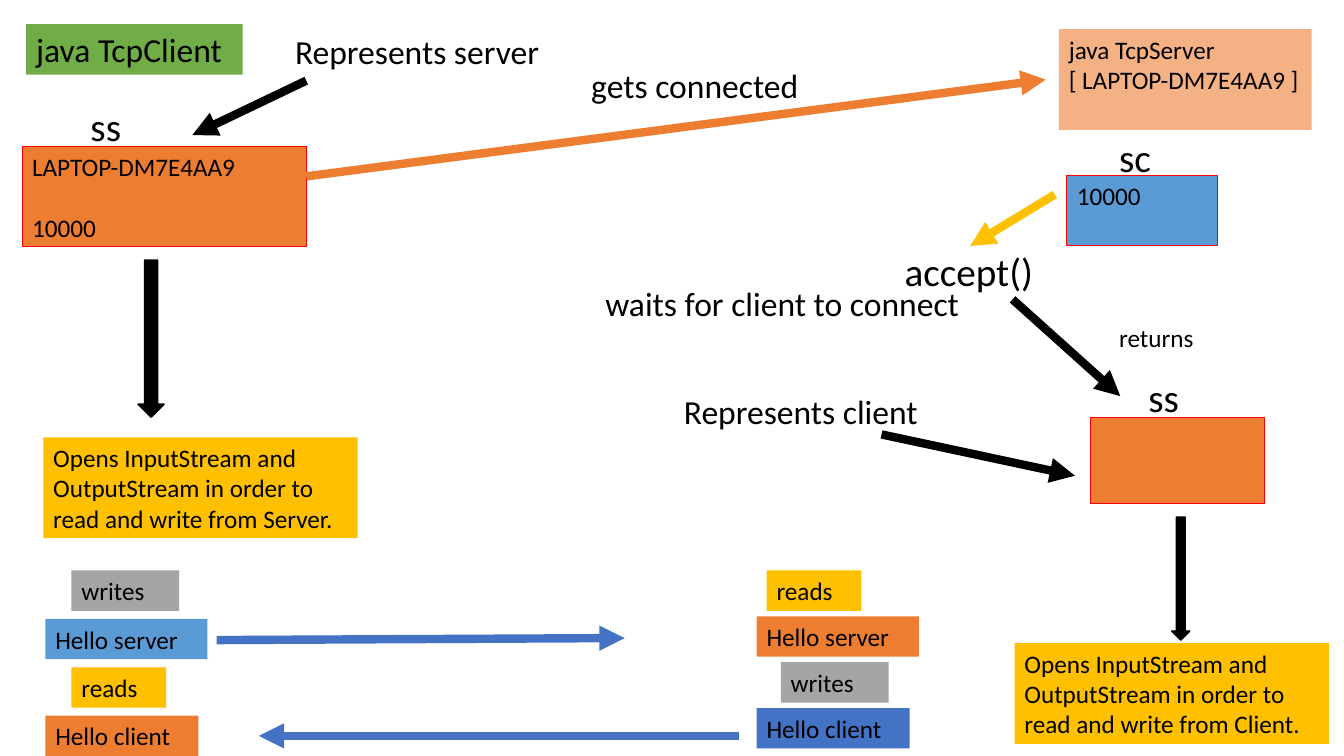
from collections import namedtuple

from lxml.etree import SubElement
from pptx import Presentation
from pptx.dml.color import RGBColor
from pptx.enum.shapes import MSO_CONNECTOR as Connector, MSO_SHAPE as Shape
from pptx.enum.text import MSO_ANCHOR as Anchor, PP_ALIGN as Align
from pptx.oxml.ns import qn
from pptx.util import Inches, Pt

WIDTH, HEIGHT = Inches(13.34), Inches(7.5)
COLUMN, ROW = WIDTH / 133.4, HEIGHT / 75
BLACK, RED, ORANGE, GOLD = "000000", "FF0000", "ED7D31", "FFC000"
SKY, BLUE, GREEN, GRAY, PEACH = "5B9BD5", "4472C4", "70AD47", "A5A5A5", "F4B183"
LABEL_WIDTHS = {"writes": 10.7, "reads": 9.4, "Hello server": 16.1, "Hello client": 15.2}

Region = namedtuple("Region", "page left top")


def color(value):
    """Turn a hex string into a colour."""
    return RGBColor.from_string(value)


def locate(region, column, row):
    """Give the slide position of a grid point in a region."""
    return round((region.left + column) * COLUMN), round((region.top + row) * ROW)


def frame(region, column, row, columns, rows):
    """Give the slide position and size of a box in a region."""
    return *locate(region, column, row), round(columns * COLUMN), round(rows * ROW)


def write(shape, text, size=18, gap=0):
    """Fill a shape with left-aligned lines, with a gap between them."""
    box = shape.text_frame
    box.word_wrap = True
    box.vertical_anchor = Anchor.TOP
    for index, line in enumerate(text.split("\n")):
        para = box.paragraphs[0] if index == 0 else box.add_paragraph()
        para.alignment = Align.LEFT
        if index:
            para.space_before = Pt(gap)
        span = para.add_run()
        span.text = line
        span.font.name = "Calibri"
        span.font.size = Pt(size)
        span.font.color.rgb = color(BLACK)


def add_label(region, place, text, size=24):
    """Add plain text."""
    write(region.page.shapes.add_textbox(*frame(region, *place)), text, size)


def add_box(region, place, fill, text="", line=None, kind=Shape.RECTANGLE, weight=0.75, **style):
    """Add a filled shape, with text if given."""
    shape = region.page.shapes.add_shape(kind, *frame(region, *place))
    shape.shadow.inherit = False
    shape.fill.solid()
    shape.fill.fore_color.rgb = color(fill)
    if line:
        shape.line.color.rgb = color(line)
        shape.line.width = Pt(weight)
    else:
        shape.line.fill.background()
    if text:
        write(shape, text, **style)


def add_down_arrow(region, place):
    """Add a black block arrow that points down."""
    add_box(region, place, BLACK, line=BLACK, kind=Shape.DOWN_ARROW, weight=1)


def add_arrow(region, start, end, stroke=BLACK):
    """Add a thick line with a triangular head at its end."""
    arrow = region.page.shapes.add_connector(
        Connector.STRAIGHT, *locate(region, *start), *locate(region, *end))
    arrow.line.color.rgb = color(stroke)
    arrow.line.width = Pt(6)
    SubElement(arrow.line._get_or_add_ln(), qn("a:tailEnd"), type="triangle")
    SubElement(arrow._element.spPr, qn("a:effectLst"))


def add_streams(region, column, row, peer):
    """Add the note on the streams opened towards a peer."""
    text = f"Opens InputStream and OutputStream in order to read and write from {peer}."
    add_box(region, (column, row, 31.2, 10), GOLD, text)


def draw_client(region):
    """Draw the client program and its socket."""
    add_box(region, (0.6, 0.4, 21.5, 5), GREEN, "java TcpClient", size=24)
    add_label(region, (26.3, 0.6, 27.2, 5), "Represents server")
    add_arrow(region, (28.4, 6), (17.1, 11.4))
    add_label(region, (6, 7.7, 7.7, 5.7), "ss", 28)
    add_box(region, (0.2, 12.5, 28.2, 10), ORANGE, "LAPTOP-DM7E4AA9\n10000", RED, gap=22)
    add_down_arrow(region, (11.7, 23.8, 2.6, 15.6))
    add_streams(region, 2.3, 41.4, "Server")


def draw_connection(region):
    """Draw the link from the client socket to the server."""
    add_arrow(region, (0, 11.6), (73.4, 2), ORANGE)
    add_label(region, (27.3, 0, 25.1, 5), "gets connected")


def draw_server(region):
    """Draw the server program, its accept call and the returned socket."""
    add_box(region, (46.1, 0.9, 25.1, 10), PEACH, "java TcpServer\n[ LAPTOP-DM7E4AA9 ]")
    add_box(region, (46.9, 15.4, 14.9, 7), SKY, "10000", RED)
    add_label(region, (51.1, 10.7, 7.7, 5.7), "sc", 28)
    add_arrow(region, (45.7, 17.3), (37.3, 22.4), GOLD)
    add_label(region, (29.8, 22, 14.9, 5.7), "accept()", 28)
    add_label(region, (0.1, 25.6, 37.8, 5), "waits for client to connect")
    add_arrow(region, (41.5, 27.7), (52.2, 37.3))
    add_label(region, (51.1, 29.5, 10.8, 4), "returns", 18)
    add_box(region, (49.2, 39.4, 17.3, 8.6), ORANGE, line=RED)
    add_label(region, (54, 34.5, 7.7, 5.7), "ss", 28)
    add_label(region, (7.9, 36.3, 29, 5), "Represents client")
    add_arrow(region, (28.5, 41.1), (47.7, 45.2))
    add_down_arrow(region, (57.3, 49.3, 1.8, 12.2))
    add_streams(region, 41.7, 61.8, "Client")


def draw_messages(region, step, messages):
    """Stack the messages of one side, a step apart."""
    for index, (text, fill, column) in enumerate(messages):
        add_box(region, (column, index * step, LABEL_WIDTHS[text], 4), fill, text)


def draw_exchange(region):
    """Draw the arrows of the two messages."""
    add_arrow(region, (17, 6.9), (57.5, 6.7), BLUE)
    add_arrow(region, (68.9, 16.4), (21.2, 16.4), BLUE)


def main():
    """Build the slide and save it."""
    deck = Presentation()
    deck.slide_width, deck.slide_height = WIDTH, HEIGHT
    page = deck.slides.add_slide(deck.slide_layouts[6])
    draw_server(Region(page, 59, 2))
    draw_client(Region(page, 2, 2))
    draw_connection(Region(page, 30.4, 5.9))
    draw_messages(Region(page, 4.5, 56.6), 4.8, [
        ("writes", GRAY, 2.6), ("Hello server", SKY, 0),
        ("reads", GOLD, 2.6), ("Hello client", ORANGE, 0)])
    draw_messages(Region(page, 75.1, 56.6), 4.55, [
        ("reads", GOLD, 1), ("Hello server", ORANGE, 0),
        ("writes", GRAY, 2.4), ("Hello client", BLUE, 0)])
    draw_exchange(Region(page, 4.5, 56.6))
    deck.save("out.pptx")


if __name__ == "__main__":
    main()
